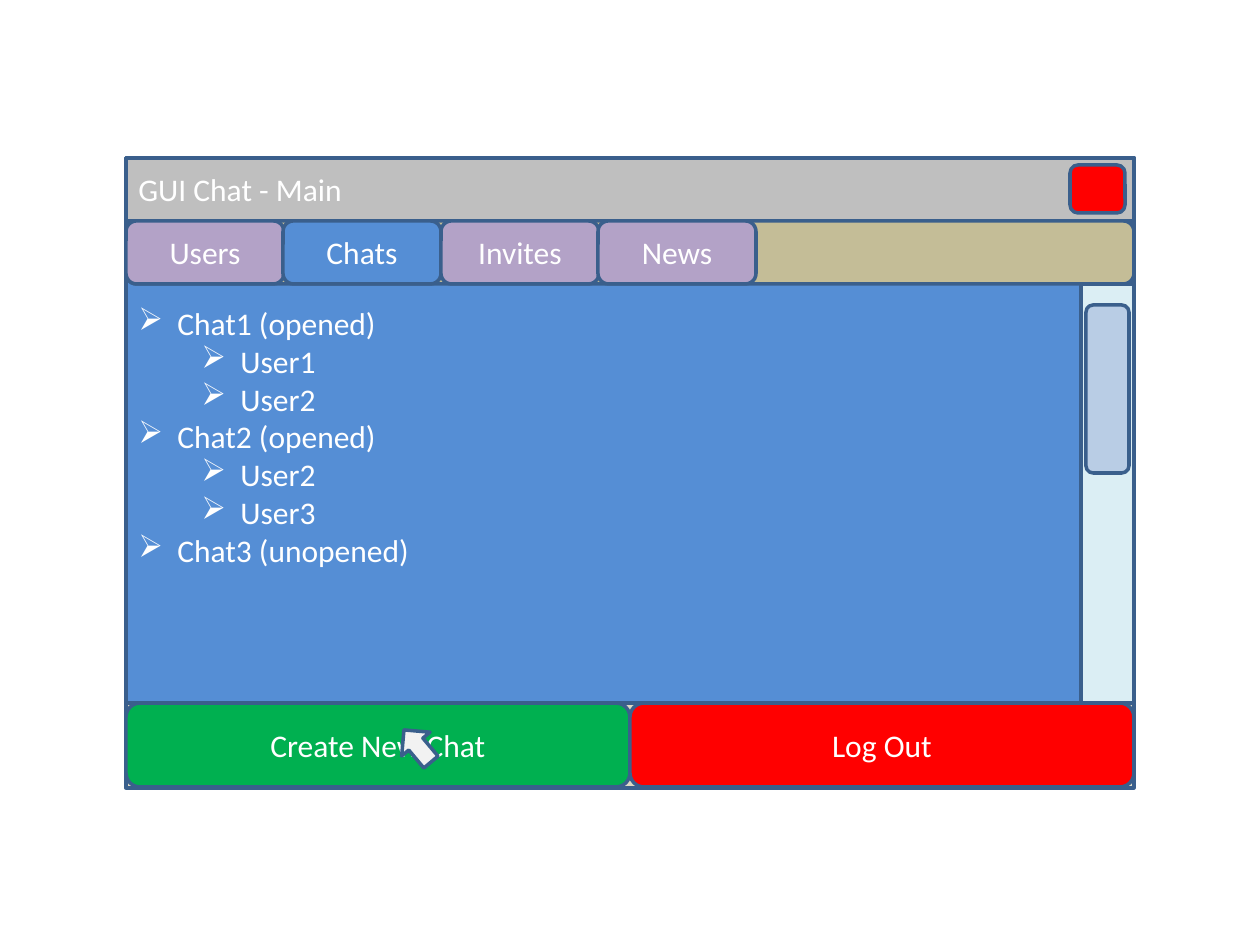
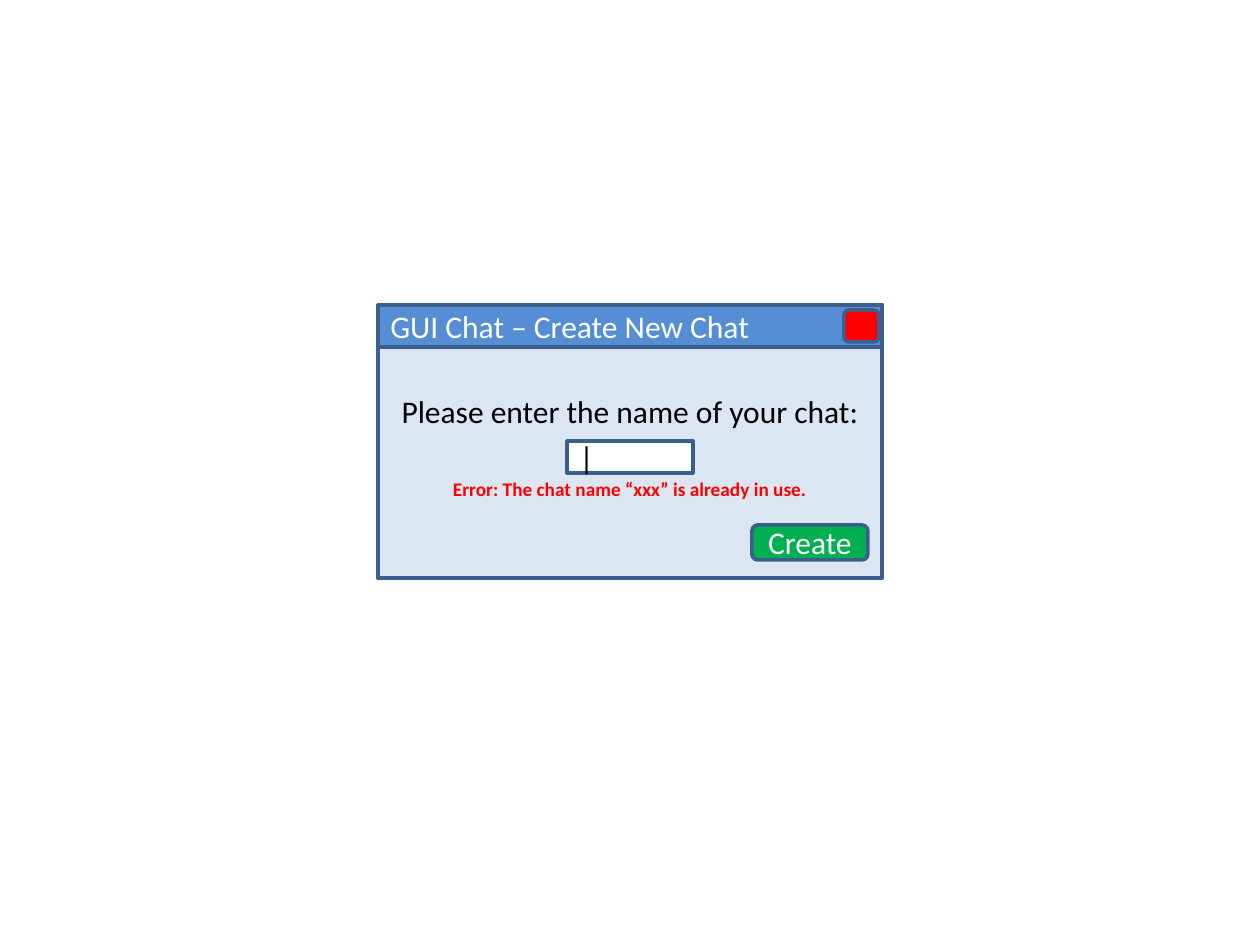
from dataclasses import dataclass, field
from typing import NamedTuple

from lxml import etree
from pptx import Presentation
from pptx import util as u
from pptx.dml.color import RGBColor
from pptx.enum import shapes, text
from pptx.oxml.ns import qn

WHITE = RGBColor(0xFF, 0xFF, 0xFF)
BLACK = RGBColor(0x00, 0x00, 0x00)
NAVY = RGBColor(0x3A, 0x5F, 0x8C)
BLUE = RGBColor(0x55, 0x8E, 0xD5)
PALE_BLUE = RGBColor(0xDC, 0xE6, 0xF2)
THUMB_BLUE = RGBColor(0xB9, 0xCD, 0xE5)
TRACK_BLUE = RGBColor(0xDB, 0xEE, 0xF4)
PURPLE = RGBColor(0xB3, 0xA2, 0xC7)
CREAM = RGBColor(0xDD, 0xD9, 0xC3)
TAN = RGBColor(0xC4, 0xBD, 0x97)
GRAY = RGBColor(0xBF, 0xBF, 0xBF)
LIGHT_GRAY = RGBColor(0xF2, 0xF2, 0xF2)
RED = RGBColor(0xFF, 0x00, 0x00)
GREEN = RGBColor(0x00, 0xB0, 0x50)

RECTANGLE = shapes.MSO_SHAPE.RECTANGLE
ROUNDED = shapes.MSO_SHAPE.ROUNDED_RECTANGLE
ARROW = shapes.MSO_SHAPE.UP_ARROW
LEFT = text.PP_ALIGN.LEFT
CENTER = text.PP_ALIGN.CENTER
TOP = text.MSO_ANCHOR.TOP
MIDDLE = text.MSO_ANCHOR.MIDDLE

PIXELS_PER_INCH = 126
FONT = "Calibri"
BULLET = "\u27a2"
BULLET_HANG = 39
LEVEL_STEP = 63


class Area(NamedTuple):
    left: int
    top: int
    width: int
    height: int


@dataclass
class Line:
    words: str
    color: RGBColor = WHITE
    size: int = 18
    bold: bool = False
    align: text.PP_ALIGN = CENTER
    space_before: int = 0
    level: int = 0
    bulleted: bool = False


@dataclass
class Block:
    area: Area
    fill: RGBColor
    kind: shapes.MSO_SHAPE = ROUNDED
    lines: list[Line] = field(default_factory=list)
    anchor: text.MSO_ANCHOR = MIDDLE
    margin_top: int = 6
    rotation: int = 0


@dataclass
class Window:
    area: Area
    title: str
    title_height: int
    title_fill: RGBColor
    close: Area


def px(value: int) -> u.Emu:
    return u.Emu(round(value * 914400 / PIXELS_PER_INCH))


def set_all(target: object, values: dict[str, object]) -> None:
    for name, value in values.items():
        setattr(target, name, value)


def add_bullet(para, level: int) -> None:
    properties = para._p.get_or_add_pPr()
    properties.set("marL", str(px(BULLET_HANG + LEVEL_STEP * level)))
    properties.set("indent", str(-px(BULLET_HANG)))
    etree.SubElement(properties, qn("a:buChar")).set("char", BULLET)


def write_line(para, line: Line) -> None:
    set_all(para, {"alignment": line.align, "level": line.level,
                   "space_before": u.Pt(line.space_before)})
    if line.bulleted:
        add_bullet(para, line.level)
    span = para.add_run()
    span.text = line.words
    set_all(span.font, {"name": FONT, "size": u.Pt(line.size), "bold": line.bold})
    span.font.color.rgb = line.color


def draw(page, block: Block) -> None:
    box = page.shapes.add_shape(block.kind, *map(px, block.area))
    box.shadow.inherit = False
    box.rotation = block.rotation
    box.fill.solid()
    box.fill.fore_color.rgb = block.fill
    box.line.color.rgb = NAVY
    box.line.width = u.Pt(2)
    frame = box.text_frame
    set_all(frame, {"word_wrap": True, "vertical_anchor": block.anchor,
                    "margin_top": px(block.margin_top)})
    for index, line in enumerate(block.lines):
        write_line(frame.add_paragraph() if index else frame.paragraphs[0], line)


def draw_window(page, window: Window) -> None:
    bar = window.area._replace(height=window.title_height)
    draw(page, Block(window.area, CREAM, RECTANGLE))
    draw(page, Block(bar, window.title_fill, RECTANGLE, [Line(window.title, align=LEFT)]))
    draw(page, Block(window.close, RED))


def draw_main(page) -> None:
    draw_window(page, Window(Area(126, 158, 1008, 630), "GUI Chat - Main", 63, GRAY,
                             Area(1070, 165, 55, 48)))
    chats = [("Chat1 (opened)", ["User1", "User2"]),
             ("Chat2 (opened)", ["User2", "User3"]),
             ("Chat3 (unopened)", [])]
    entries = []
    for chat, users in chats:
        entries.append(Line(chat, align=LEFT, bulleted=True))
        entries += [Line(user, align=LEFT, level=1, bulleted=True) for user in users]
    draw(page, Block(Area(126, 221, 1008, 482), BLUE, RECTANGLE, entries, TOP, 83))

    draw(page, Block(Area(126, 221, 1008, 63), TAN))
    for index, name in enumerate(["Users", "Chats", "Invites", "News"]):
        fill = BLUE if name == "Chats" else PURPLE
        draw(page, Block(Area(126 + index * 315 // 2, 221, 158, 63), fill, lines=[Line(name)]))

    draw(page, Block(Area(1081, 284, 53, 419), TRACK_BLUE, RECTANGLE))
    draw(page, Block(Area(1086, 305, 43, 168), THUMB_BLUE))
    for index, (name, fill) in enumerate([("Create New Chat", GREEN), ("Log Out", RED)]):
        draw(page, Block(Area(126 + index * 504, 703, 504, 84), fill, lines=[Line(name)]))
    draw(page, Block(Area(399, 725, 37, 42), LIGHT_GRAY, ARROW, rotation=-40))


def draw_dialog(page) -> None:
    draw_window(page, Window(Area(378, 305, 504, 273), "GUI Chat \u2013 Create New Chat", 42,
                             BLUE, Area(844, 310, 35, 32)))
    messages = [
        Line("Please enter the name of your chat:", BLACK),
        Line("Error: The chat name \u201cxxx\u201d is already in use.", RED, 11, True,
             space_before=27),
    ]
    draw(page, Block(Area(378, 347, 504, 231), PALE_BLUE, RECTANGLE, messages, TOP, 45))
    draw(page, Block(Area(567, 441, 126, 32), WHITE, RECTANGLE, [Line("|", BLACK, align=LEFT)]))
    draw(page, Block(Area(752, 525, 116, 35), GREEN, lines=[Line("Create")]))


def main() -> None:
    deck = Presentation()
    set_all(deck, {"slide_width": px(1260), "slide_height": px(945)})
    for draw_page in (draw_main, draw_dialog):
        draw_page(deck.slides.add_slide(deck.slide_layouts[6]))
    deck.save("out.pptx")


main()
